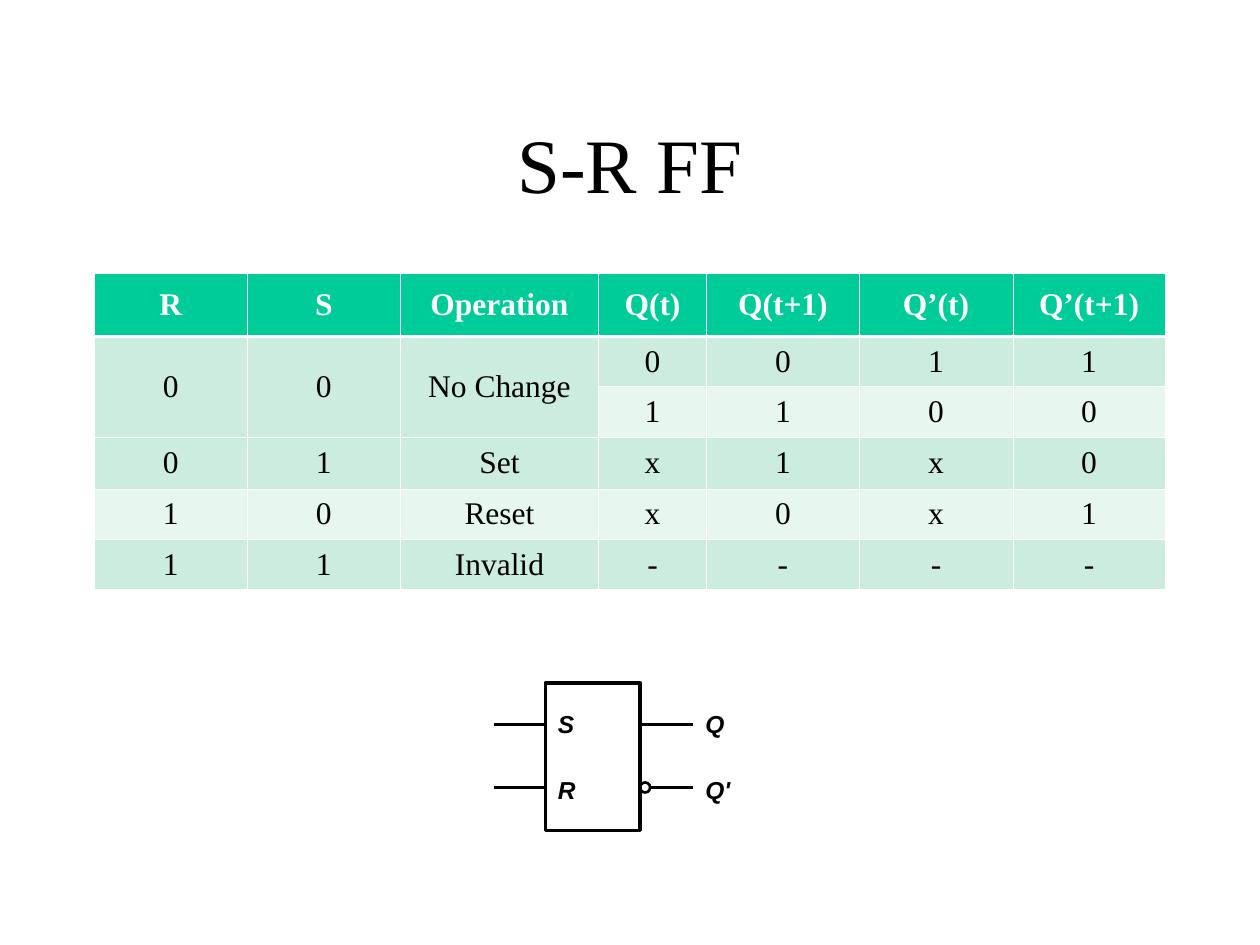
import pptx
import pptx.dml.color
import pptx.enum.shapes
import pptx.enum.text
import pptx.oxml
import pptx.oxml.ns
import pptx.util
from lxml import etree

Inches, Pt = pptx.util.Inches, pptx.util.Pt
RGBColor = pptx.dml.color.RGBColor
Align, Anchor = pptx.enum.text.PP_ALIGN, pptx.enum.text.MSO_ANCHOR
Shape = pptx.enum.shapes.MSO_SHAPE
qn = pptx.oxml.ns.qn

BLACK = RGBColor(0x00, 0x00, 0x00)
WHITE = RGBColor(0xFF, 0xFF, 0xFF)
GREEN = RGBColor(0x00, 0xCC, 0x99)
BANDS = [RGBColor(0xCB, 0xEC, 0xDE), RGBColor(0xE7, 0xF6, 0xEF)]

# Content
TITLE = "S-R FF"
TRUTH_TABLE = [
    ["R", "S", "Operation", "Q(t)", "Q(t+1)", "Q’(t)", "Q’(t+1)"],
    ["0", "0", "No Change", "0", "0", "1", "1"],
    ["", "", "", "1", "1", "0", "0"],
    ["0", "1", "Set", "x", "1", "x", "0"],
    ["1", "0", "Reset", "x", "0", "x", "1"],
    ["1", "1", "Invalid", "-", "-", "-", "-"],
]
COLUMN_WIDTHS = [1.21, 1.22, 1.57, 0.86, 1.21, 1.22, 1.21]
ROW_HEIGHTS = [0.5, 0.4, 0.4, 0.41, 0.4, 0.4]
MERGED_COLUMNS = 3  # "No Change" spans two rows in these columns

# Flip-flop symbol geometry
BODY_LEFT, BODY_TOP, BODY_WIDTH, BODY_HEIGHT = 4.33, 5.42, 0.75, 1.17
BODY_RIGHT = BODY_LEFT + BODY_WIDTH
INPUT_START, OUTPUT_END = 3.92, 5.5
PIN_ROWS = [5.75, 6.25]
BUBBLE = 0.08
LABELS_TOP, LABELS_HEIGHT = 5.58, 0.85
LABELS = [(BODY_LEFT, 0.33, ["S", "R"]), (OUTPUT_END, 0.42, ["Q", "Q'"])]


def style(para, font_name, size, color, bold=False, italic=False):
    for span in para.runs:
        font = span.font
        font.name, font.size, font.color.rgb = font_name, Pt(size), color
        font.bold, font.italic = bold, italic


def make_border(side, width):
    line = etree.Element(qn("a:" + side), w=str(int(Pt(width))))
    fill = etree.SubElement(line, qn("a:solidFill"))
    etree.SubElement(fill, qn("a:srgbClr"), val=str(WHITE))
    return line


def format_cell(cell, row):
    header = row == 0
    cell.fill.solid()
    cell.fill.fore_color.rgb = GREEN if header else BANDS[(row - 1) % 2]
    cell.vertical_anchor = Anchor.MIDDLE
    para = cell.text_frame.paragraphs[0]
    para.alignment = Align.CENTER
    style(para, "Times New Roman", 18, WHITE if header else BLACK, bold=header)
    # Thin white grid, with a heavier rule below the header
    widths = {"lnL": 0.45, "lnR": 0.45,
              "lnT": 1.47 if row == 1 else 0.45, "lnB": 1.47 if header else 0.45}
    properties = cell._tc.get_or_add_tcPr()
    for place, (side, width) in enumerate(widths.items()):
        properties.insert(place, make_border(side, width))


def add_outline(group, kind, left, top, width, height, weight):
    box = group.shapes.add_shape(kind, Inches(left), Inches(top), Inches(width), Inches(height))
    box.shadow.inherit = False
    box.fill.background()
    box.line.color.rgb = BLACK
    box.line.width = Pt(weight)


def add_wire(group, start, end, y):
    wire = group.shapes.add_connector(pptx.enum.shapes.MSO_CONNECTOR.STRAIGHT,
                                      Inches(start), Inches(y), Inches(end), Inches(y))
    wire.line.color.rgb = BLACK
    wire.line.width = Pt(1.5)
    etree.SubElement(wire._element.spPr, qn("a:effectLst"))


def add_labels(group, left, width, names):
    box = group.shapes.add_textbox(Inches(left), Inches(LABELS_TOP),
                                   Inches(width), Inches(LABELS_HEIGHT))
    frame = box.text_frame
    frame.word_wrap = True
    frame.text = "\n".join(names)
    for para, space in zip(frame.paragraphs, [1.8, 21]):
        para.space_before = Pt(space)
        style(para, "Arial", 14, BLACK, bold=True, italic=True)


def main():
    deck = pptx.Presentation()
    deck.slide_width, deck.slide_height = Inches(10), Inches(7.5)
    page = deck.slides.add_slide(deck.slide_layouts[5])

    # Title
    title = page.shapes.title
    title.left, title.top = Inches(0.75), Inches(0.67)
    title.width, title.height = Inches(8.5), Inches(1.25)
    title.text_frame.text = TITLE
    title.text_frame.vertical_anchor = Anchor.MIDDLE
    para = title.text_frame.paragraphs[0]
    para.alignment = Align.CENTER
    style(para, "Times New Roman", 44, BLACK)

    # Truth table
    table = page.shapes.add_table(len(ROW_HEIGHTS), len(COLUMN_WIDTHS), Inches(0.75), Inches(2.17),
                                  Inches(sum(COLUMN_WIDTHS)), Inches(sum(ROW_HEIGHTS))).table
    for column, width in zip(table.columns, COLUMN_WIDTHS):
        column.width = Inches(width)
    for row, (height, words) in enumerate(zip(ROW_HEIGHTS, TRUTH_TABLE)):
        table.rows[row].height = Inches(height)
        for column, word in enumerate(words):
            cell = table.cell(row, column)
            cell.text = word
            format_cell(cell, row)
    for column in range(MERGED_COLUMNS):
        table.cell(1, column).merge(table.cell(2, column))

    # Flip-flop symbol: body, pins, inverting bubble and labels
    symbol = page.shapes.add_group_shape()
    add_outline(symbol, Shape.RECTANGLE, BODY_LEFT, BODY_TOP, BODY_WIDTH, BODY_HEIGHT, 2)
    for y in PIN_ROWS:
        add_wire(symbol, INPUT_START, BODY_LEFT, y)
    add_outline(symbol, Shape.OVAL, BODY_RIGHT, PIN_ROWS[1] - BUBBLE / 2, BUBBLE, BUBBLE, 1.5)
    for start, y in zip([BODY_RIGHT, BODY_RIGHT + BUBBLE], PIN_ROWS):
        add_wire(symbol, start, OUTPUT_END, y)
    for left, width, names in LABELS:
        add_labels(symbol, left, width, names)

    deck.save("out.pptx")


if __name__ == "__main__":
    main()
